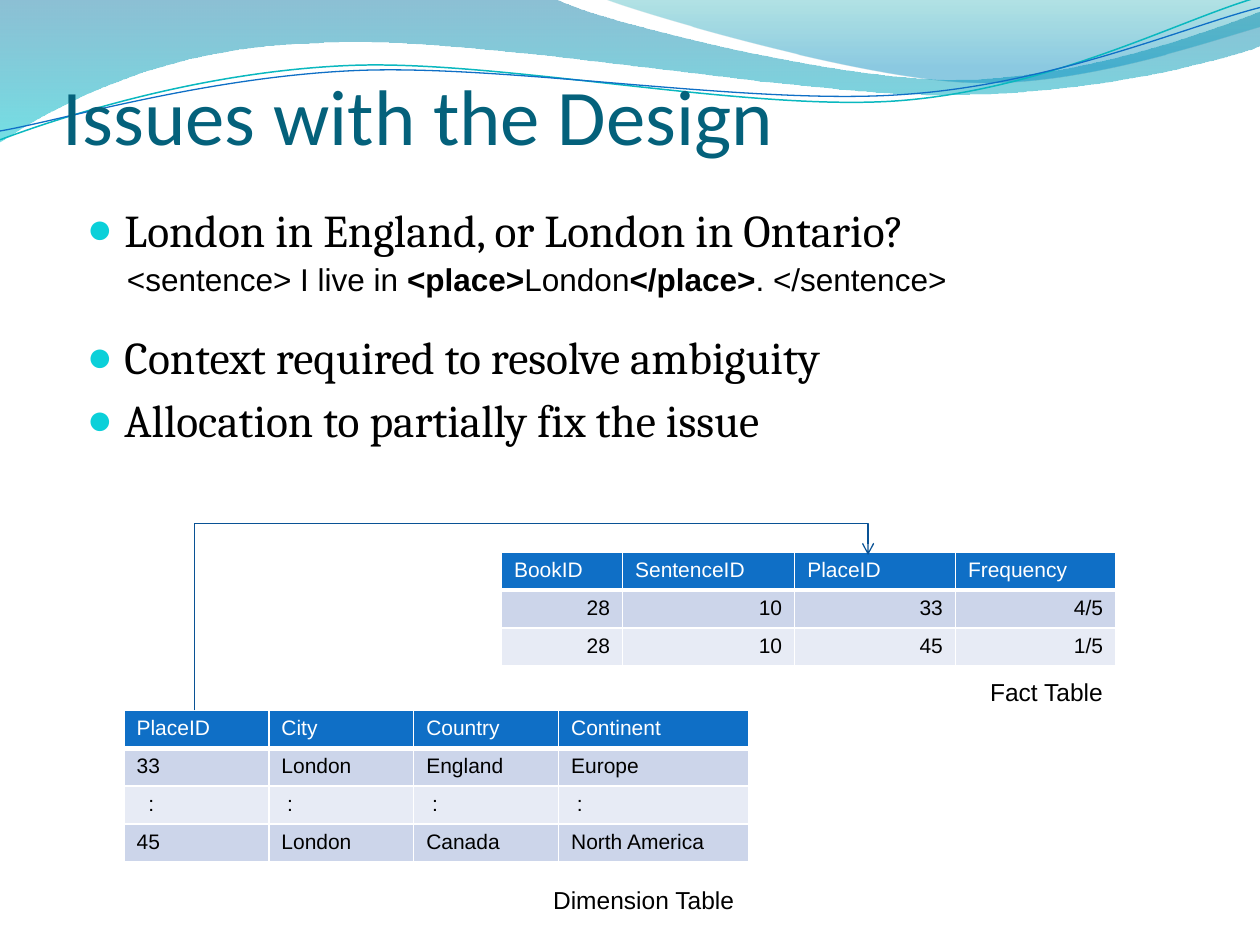
import math

from lxml import etree
from pptx import Presentation
from pptx import util as u
from pptx.dml.color import RGBColor
from pptx.enum import shapes, text
from pptx.oxml import parse_xml
from pptx.oxml.ns import qn

NS = 'xmlns:a="http://schemas.openxmlformats.org/drawingml/2006/main"'
BLUE, BLACK, WHITE = "0F6FC6", "000000", "FFFFFF"
BANDS = ["CCD5EA", "E7EBF5"]


def rgb(hex_color):
    return RGBColor.from_string(hex_color)


def cm(*values):
    return [u.Cm(v) for v in values]


def add_text(p, content, size=18, font="Arial", color=BLACK, bold=False):
    r = p.add_run()
    r.text = content
    r.font.size, r.font.name, r.font.bold = u.Pt(size), font, bold
    r.font.color.rgb = rgb(color)
    return r


def text_box(s, box, wrap=True):
    tf = s.shapes.add_textbox(*cm(*box)).text_frame
    tf.word_wrap = wrap
    return tf


# Waves: points are in tenths of the box width
def freeform(s, box, start, segments, close, turn=0, pivot=(0, 0)):
    """Draw straight (2 numbers) and cubic (6 numbers) segments."""
    left, top, width = box
    cos, sin = math.cos(math.radians(turn)), math.sin(math.radians(turn))

    def place(x, y):
        dx, dy = x - pivot[0], y - pivot[1]
        return cm(left + (pivot[0] + cos * dx + sin * dy) * width / 10,
                  top + (pivot[1] - sin * dx + cos * dy) * width / 10)

    fb = s.shapes.build_freeform(*place(*start))
    fb.add_line_segments([place(*seg[-2:]) for seg in segments], close=close)
    sp = fb.convert_to_shape()
    sp.shadow.inherit = False
    # Bend the sides that have control points
    sides = list(sp._element.spPr.iter(qn("a:lnTo")))
    for side, seg in zip(sides, segments):
        if len(seg) == 6:
            side.tag = qn("a:cubicBezTo")
            for i in (2, 0):
                x, y = place(*seg[i:i + 2])
                side.insert(0, parse_xml(
                    f'<a:pt {NS} x="{x - sp.left}" y="{y - sp.top}"/>'))
    sp.rotation = turn
    return sp


def gradient_wave(s, box, start, segments, stops):
    sp = freeform(s, box, start, segments, True)
    sp.line.fill.background()
    gs = "".join(f'<a:gs pos="{pos * 1000}"><a:srgbClr val="{c}">'
                 f'<a:alpha val="{alpha * 1000}"/></a:srgbClr></a:gs>'
                 for pos, c, alpha in stops)
    sp._element.spPr.find(qn("a:custGeom")).addnext(parse_xml(
        f'<a:gradFill {NS}><a:gsLst>{gs}</a:gsLst>'
        '<a:lin ang="5400000" scaled="0"/></a:gradFill>'))


def wave_line(s, box, start, segments, pivot, color, width):
    sp = freeform(s, box, start, segments, False, turn=-2.7, pivot=pivot)
    sp.fill.background()
    sp.line.color.rgb, sp.line.width = rgb(color), u.Pt(width)


def header_waves(s, box):
    gradient_wave(s, box, (0, 0), [
        (4.4, -0.01), (4.76, 0.17, 6.64, 0.63, 7.58, 0.63),
        (8.53, 0.63, 9.58, 0.26, 10, 0.09), (10.01, 0.36),
        (9.83, 0.44, 8.7, 0.76, 7.46, 0.75), (6.22, 0.75, 3.82, 0.28, 2.57, 0.34),
        (1.29, 0.36, 0.46, 0.83, -0.01, 1.13)],
        [(0, "0074A1", 45), (100, "00C6CF", 55)])
    gradient_wave(s, box, (4.79, -0.01), [
        (5.09, 0.11, 6.82, 0.62, 7.69, 0.65),
        (8.56, 0.69, 9.61, 0.32, 10, 0.21), (10, 0)],
        [(0, "00A1A9", 30), (80, "008BBF", 45)])
    wave_line(s, box, (0, 1.11), [
        (0.48, 0.93, 1.58, 0.57, 2.77, 0.52),
        (3.95, 0.47, 5.93, 0.89, 7.13, 0.8), (8.33, 0.71, 9.38, 0.15, 9.98, -0.02)],
        (4.99, 0.57), "0AB8BF", 0.85)
    wave_line(s, box, (0, 1.04), [
        (0.47, 0.96, 1.64, 0.61, 2.83, 0.56),
        (4.03, 0.51, 5.97, 0.84, 7.17, 0.75), (8.36, 0.67, 9.41, 0.21, 10, 0.06)],
        (5, 0.59), BLUE, 0.75)


def title(s, box):
    tf = text_box(s, box)
    tf.vertical_anchor = text.MSO_ANCHOR.BOTTOM
    tf.margin_left, tf.margin_top, tf.margin_right, tf.margin_bottom = cm(0, 0.13, 0, 1.99)
    add_text(tf.paragraphs[0], "Issues with the Design", size=45, font="Calibri",
             color="04617B")


def bullets(s, box):
    tf = text_box(s, box)
    # The second bullet leaves a line free for the example sentence
    items = [("London in England, or London in Ontario?", 5.2),
             ("Context required to resolve ambiguity", 41.5),
             ("Allocation to partially fix the issue", 5.2)]
    for i, (item, before) in enumerate(items):
        p = tf.add_paragraph() if i else tf.paragraphs[0]
        p.space_before = u.Pt(before)
        add_text(p, item, size=26, font="Cambria")
        pPr = p._p.get_or_add_pPr()
        pPr.set("marL", str(u.Cm(0.76)))
        pPr.set("indent", str(-u.Cm(0.76)))
        for xml in (f'<a:buClr {NS}><a:srgbClr val="0BD0D9"/></a:buClr>',
                    f'<a:buSzPct {NS} val="95000"/>',
                    f'<a:buFont {NS} typeface="Arial"/>',
                    f'<a:buChar {NS} char="●"/>'):
            pPr.append(parse_xml(xml))


def example(s, box):
    p = text_box(s, box, wrap=False).paragraphs[0]
    for content, bold in [("<sentence> I live in ", False), ("<place>", True),
                          ("London", False), ("</place>", True),
                          (". </sentence>", False)]:
        add_text(p, content, bold=bold)


def fill_cell(cell, content, color, fill, bottom, align):
    tcPr = cell._tc.get_or_add_tcPr()
    for side, width in zip("LRTB", (1, 1, 1, bottom)):
        tcPr.append(parse_xml(
            f'<a:ln{side} {NS} w="{u.Pt(width)}"><a:solidFill>'
            f'<a:srgbClr val="{WHITE}"/></a:solidFill></a:ln{side}>'))
    cell.fill.solid()
    cell.fill.fore_color.rgb = rgb(fill)
    p = cell.text_frame.paragraphs[0]
    p.alignment = align
    add_text(p, content, size=12, color=color)


def data_table(s, left, top, widths, rows, align):
    height = 0.76
    tbl = s.shapes.add_table(len(rows), len(widths), *cm(
        left, top, sum(widths), height * len(rows))).table
    for col, width in zip(tbl.columns, widths):
        col.width = u.Cm(width)
    for i, row in enumerate(rows):
        tbl.rows[i].height = u.Cm(height)
        for j, content in enumerate(row):
            cell = tbl.cell(i, j)
            if i == 0:
                fill_cell(cell, content, WHITE, BLUE, 3, text.PP_ALIGN.LEFT)
            else:
                fill_cell(cell, content, BLACK, BANDS[(i - 1) % 2], 1, align)
            if content == ":":
                cell.margin_left = u.Cm(0.49 if j == 0 else 0.37)


def caption(s, box, content):
    add_text(text_box(s, box, wrap=False).paragraphs[0], content, size=14)


def key_link(s, start, end, rise):
    """Elbow arrow that goes up from start, across, and down to end."""
    (x1, y1), (x2, y2) = start, end
    cx, cy, w, h = (x1 + x2) / 2, (y1 + y2) / 2, y1 - y2, x2 - x1
    # Laid out on its side, then turned a quarter
    c = s.shapes.add_connector(shapes.MSO_CONNECTOR.ELBOW, *cm(
        cx + w / 2, cy + h / 2, cx - w / 2, cy - h / 2))
    c.line.color.rgb, c.line.width = rgb("095295"), u.Pt(0.75)
    spPr = c._element.spPr
    spPr.find(qn("a:xfrm")).set("rot", "5400000")
    av = spPr.find(qn("a:prstGeom")).find(qn("a:avLst"))
    bend = round((w + rise) / w * 100000)
    av.append(parse_xml(f'<a:gd {NS} name="adj1" fmla="val {bend}"/>'))
    etree.SubElement(c.line._get_or_add_ln(), qn("a:tailEnd"), type="arrow")
    etree.SubElement(spPr, qn("a:effectLst"))


def main():
    prs = Presentation()
    prs.slide_width, prs.slide_height = cm(25.4, 19.05)
    s = prs.slides.add_slide(prs.slide_layouts[6])
    header_waves(s, (0, 0, 25.4))
    title(s, (1.27, 1.96, 22.86, 3.18))
    bullets(s, (1.5, 3.94, 22.1, 5.41))
    example(s, (2.31, 5.12, 17.2, 1.02))
    # Dimension table
    data_table(s, 2.5, 14.32, [2.92, 2.92, 2.92, 3.83], [
        ["PlaceID", "City", "Country", "Continent"],
        ["33", "London", "England", "Europe"],
        [":"] * 4,
        ["45", "London", "Canada", "North America"]], text.PP_ALIGN.LEFT)
    # Fact table
    data_table(s, 10.11, 11.13, [2.44, 3.47, 3.24, 3.23], [
        ["BookID", "SentenceID", "PlaceID", "Frequency"],
        ["28", "10", "33", "4/5"],
        ["28", "10", "45", "1/5"]], text.PP_ALIGN.RIGHT)
    key_link(s, (3.92, 14.32), (17.5, 11.19), 0.64)
    caption(s, (19.71, 13.52, 2.79, 0.86), "Fact Table")
    caption(s, (10.9, 17.72, 4.19, 0.86), "Dimension Table")
    prs.save("out.pptx")


if __name__ == "__main__":
    main()
